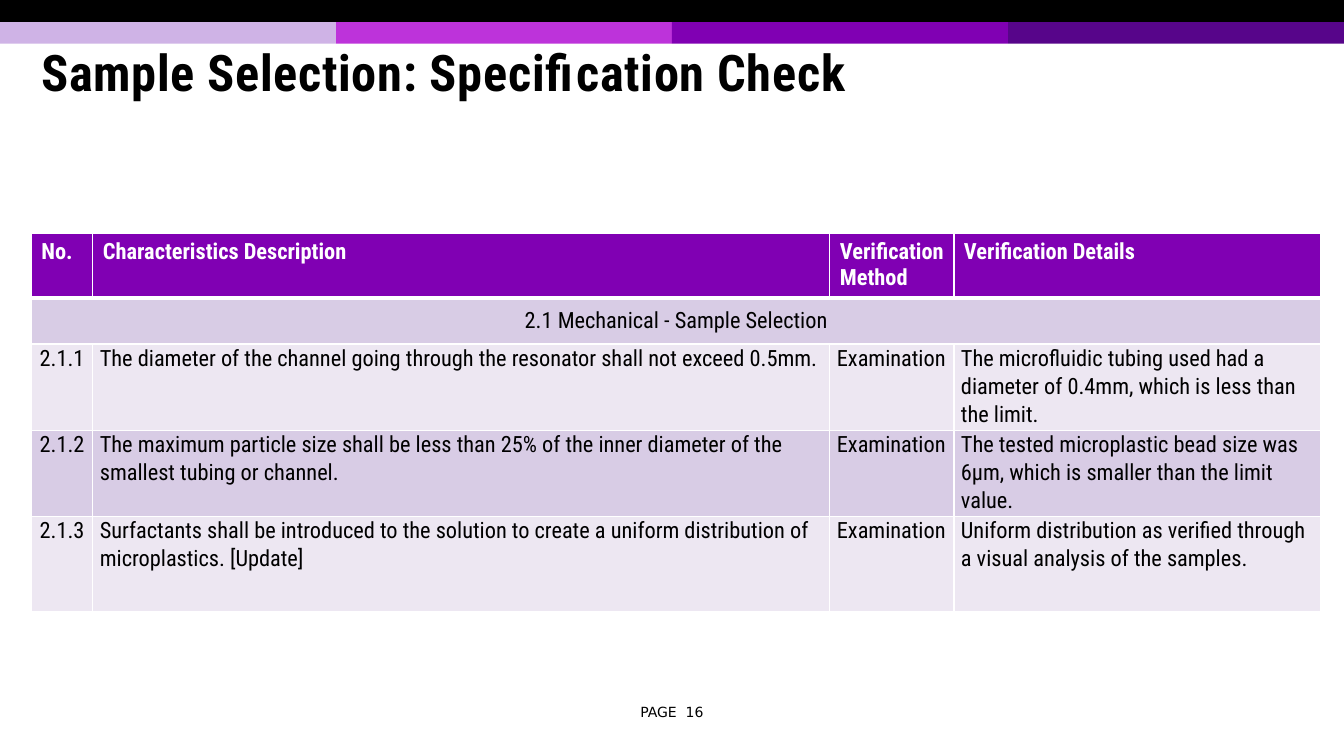
from lxml import etree
from pptx import Presentation
from pptx.dml.color import RGBColor
from pptx.enum.shapes import MSO_SHAPE
from pptx.enum.text import MSO_ANCHOR, PP_ALIGN
from pptx.oxml.ns import qn
from pptx.util import Inches, Pt

RECTANGLE = MSO_SHAPE.RECTANGLE
TOP, MIDDLE = MSO_ANCHOR.TOP, MSO_ANCHOR.MIDDLE
LEFT, CENTER, JUSTIFY = PP_ALIGN.LEFT, PP_ALIGN.CENTER, PP_ALIGN.JUSTIFY

BLACK = RGBColor(0x00, 0x00, 0x00)
WHITE = RGBColor(0xFF, 0xFF, 0xFF)
LILAC = RGBColor(0xCF, 0xB3, 0xE6)
MAGENTA = RGBColor(0xBD, 0x33, 0xDA)
PURPLE = RGBColor(0x80, 0x00, 0xB3)
INDIGO = RGBColor(0x57, 0x05, 0x8A)
BAND_DARK = RGBColor(0xD8, 0xCC, 0xE5)
BAND_LIGHT = RGBColor(0xED, 0xE7, 0xF2)

HEADINGS = ["No.", "Characteristics Description", "Verification Method", "Verification Details"]
SECTION = "2.1 Mechanical - Sample Selection"
CHECKS = [
    ["2.1.1",
     "The diameter of the channel going through the resonator shall not exceed 0.5mm.",
     "Examination",
     "The microfluidic tubing used had a diameter of 0.4mm, which is less than the limit."],
    ["2.1.2",
     "The maximum particle size shall be less than 25% of the inner diameter of the "
     "smallest tubing or channel.",
     "Examination",
     "The tested microplastic bead size was 6µm, which is smaller than the limit value."],
    ["2.1.3",
     "Surfactants shall be introduced to the solution to create a uniform distribution of "
     "microplastics. [Update]",
     "Examination",
     "Uniform distribution as verified through a visual analysis of the samples."],
]
CHECK_ALIGNMENTS = [CENTER, LEFT, JUSTIFY, LEFT]


class SlideBuilder:
    """Places elements on a grid of 100 columns by 100 rows."""

    heading_font = "Roboto Condensed"
    footer_font = "DejaVu Sans"

    def __init__(self, deck):
        self.slide = deck.slides.add_slide(deck.slide_layouts[6])
        self.column = deck.slide_width / 100
        self.row = deck.slide_height / 100

    def area(self, left, top, width, height):
        return (round(left * self.column), round(top * self.row),
                round(width * self.column), round(height * self.row))

    def bar(self, left, top, width, height, color):
        bar = self.slide.shapes.add_shape(RECTANGLE, *self.area(left, top, width, height))
        bar.shadow.inherit = False
        bar.fill.solid()
        bar.fill.fore_color.rgb = color
        bar.line.fill.background()

    def add_words(self, paragraph, words, size, color, font, bold=False, align=LEFT,
                  spacing=None):
        paragraph.alignment = align
        paragraph.line_spacing = spacing
        run = paragraph.add_run()
        run.text = words
        run.font.size = Pt(size)
        run.font.name = font
        run.font.bold = bold
        run.font.color.rgb = color
        return run

    def text(self, left, top, width, height, words, size, font, **style):
        box = self.slide.shapes.add_textbox(*self.area(left, top, width, height))
        frame = box.text_frame
        frame.word_wrap = True
        frame.vertical_anchor = MIDDLE
        return self.add_words(frame.paragraphs[0], words, size, BLACK, font, **style)

    def table(self, left, top, widths, heights):
        place = self.area(left, top, sum(widths), sum(heights))
        table = self.slide.shapes.add_table(len(heights), len(widths), *place).table
        table.horz_banding = False
        for column, width in zip(table.columns, widths):
            column.width = round(width * self.column)
        for row, height in zip(table.rows, heights):
            row.height = round(height * self.row)
        return table

    def cell(self, cell, words, fill, color=BLACK, bold=False, align=LEFT,
             anchor=TOP, spacing=None, top_line=1, bottom_line=1):
        # Borders come before the fill in the cell's properties
        properties = cell._tc.get_or_add_tcPr()
        for side, points in (("L", 1), ("R", 1), ("T", top_line), ("B", bottom_line)):
            line = etree.SubElement(properties, qn(f"a:ln{side}"), w=str(Pt(points)))
            paint = etree.SubElement(line, qn("a:solidFill"))
            etree.SubElement(paint, qn("a:srgbClr"), val=str(WHITE))
        cell.fill.solid()
        cell.fill.fore_color.rgb = fill
        cell.vertical_anchor = anchor
        self.add_words(cell.text_frame.paragraphs[0], words, 16, color, self.heading_font,
                       bold, align, spacing)


def main():
    deck = Presentation()
    deck.slide_width, deck.slide_height = Inches(13.33), Inches(7.5)
    page = SlideBuilder(deck)

    # Colour strips along the top
    for index, color in enumerate((LILAC, MAGENTA, PURPLE, INDIGO)):
        page.bar(index * 25, 2.9, 25, 2.9, color)
    page.bar(0, 0, 100, 2.9, BLACK)

    # Title and page number
    title = page.text(2.33, 3.47, 94.9, 13.07, "Sample Selection: Specification Check",
                      36, page.heading_font, bold=True, spacing=0.85)
    title._r.get_or_add_rPr().set("spc", "50")
    page.text(45.83, 92.4, 8.33, 3.6, "PAGE  16", 10, page.footer_font, align=CENTER)

    # Specification table: headings, section row, checks
    table = page.table(2.33, 30.93, [4.58, 54.84, 9.23, 27.31],
                       [8.13, 6.13, 11.07, 11.07, 12.53])
    for column, heading in enumerate(HEADINGS):
        page.cell(table.cell(0, column), heading, PURPLE, WHITE, bold=True, bottom_line=3)

    section = table.cell(1, 0)
    section.merge(table.cell(1, len(HEADINGS) - 1))
    page.cell(section, SECTION, BAND_DARK, align=CENTER, anchor=MIDDLE, top_line=3)

    for row, check in enumerate(CHECKS, start=2):
        fill = BAND_DARK if row % 2 else BAND_LIGHT
        for column, (words, align) in enumerate(zip(check, CHECK_ALIGNMENTS)):
            cell = table.cell(row, column)
            cell.margin_left = cell.margin_right = Inches(0.07)
            cell.margin_top = cell.margin_bottom = 0
            page.cell(cell, words, fill, align=align, spacing=1.07)

    deck.save("out.pptx")


if __name__ == "__main__":
    main()
